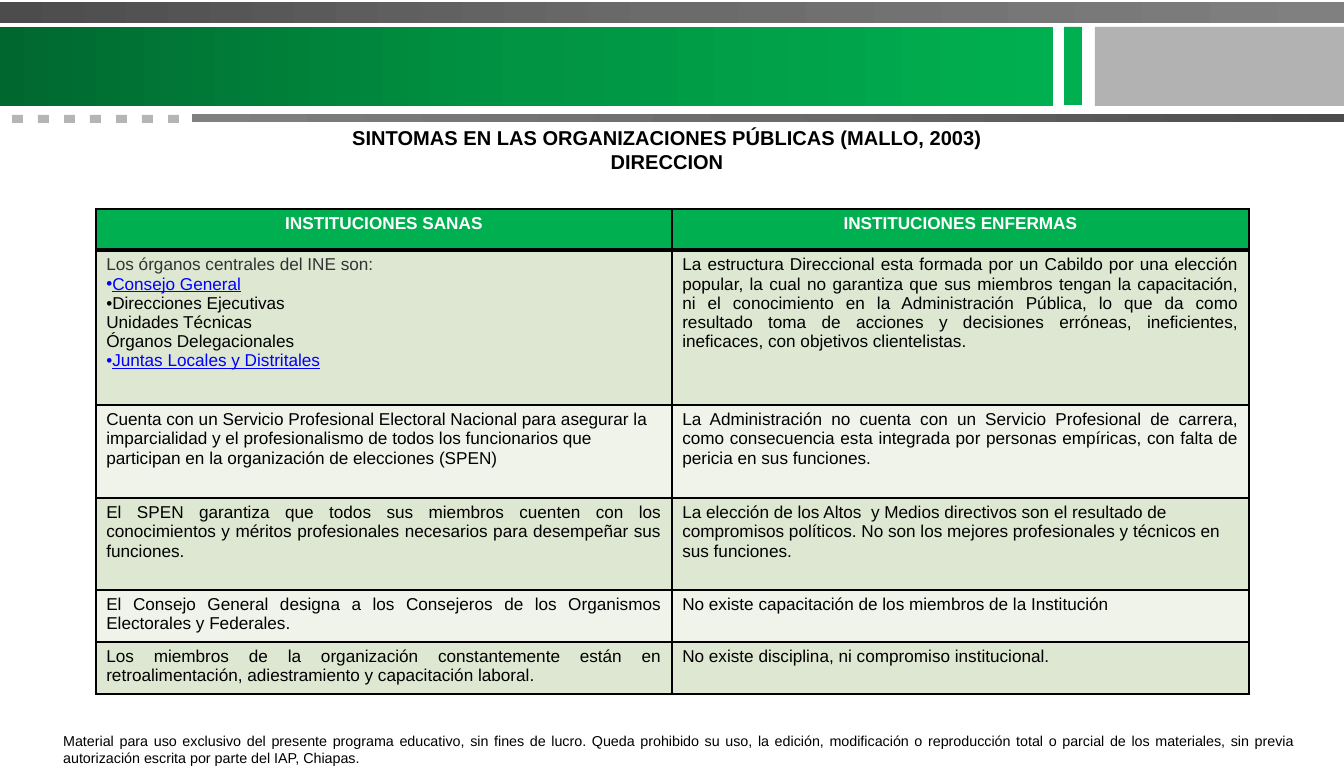
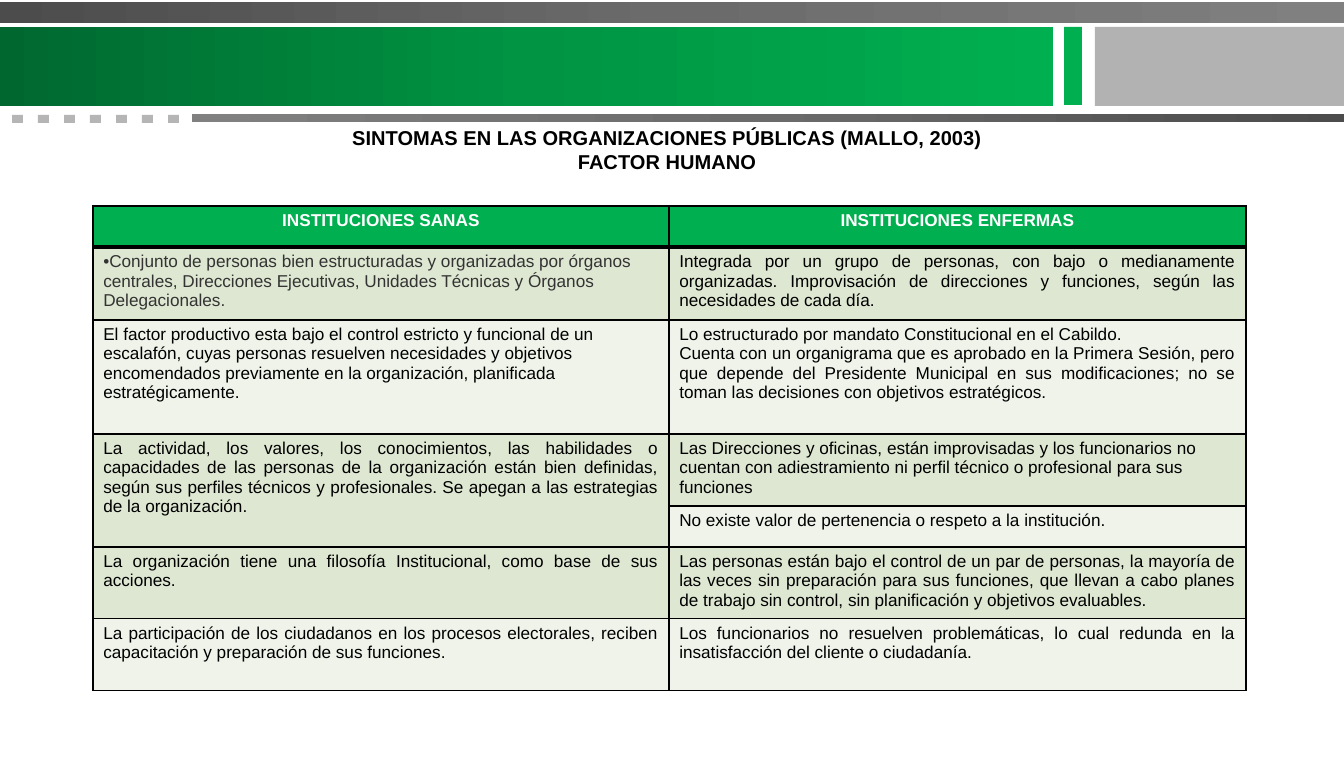
from dataclasses import dataclass
from copy import deepcopy

from lxml import etree
from pptx import Presentation
from pptx.dml.color import RGBColor
from pptx.enum.shapes import MSO_SHAPE
from pptx.enum.text import MSO_ANCHOR, MSO_AUTO_SIZE, PP_ALIGN
from pptx.oxml.ns import qn
from pptx.util import Emu, Pt

RECTANGLE = MSO_SHAPE.RECTANGLE
LEFT, CENTER, JUSTIFY = PP_ALIGN.LEFT, PP_ALIGN.CENTER, PP_ALIGN.JUSTIFY
TOP = MSO_ANCHOR.TOP
NO_AUTOFIT = MSO_AUTO_SIZE.NONE

EMU_PER_PX = 914400 / 103.1
SLIDE_WIDTH, SLIDE_HEIGHT = 1344, 773
TITLE_ONLY = 5


@dataclass(frozen=True)
class Theme:
    font: str = "Arial"
    title_size: int = 14
    table_size: int = 12
    footer_size: int = 10
    black: str = "000000"
    white: str = "FFFFFF"
    dark_gray: str = "333333"
    link: str = "0000FF"
    green: str = "00B050"
    gray: str = "B2B2B2"
    dash: str = "B5B5B5"
    green_fade: tuple = ("00682F", "009443", "00B050")
    gray_fade: tuple = ("4C4C4C", "6B6B6B", "808080")
    row_bands: tuple = ("DEE7D1", "EFF3EA")
    thin: int = 1
    thick: int = 3


THEME = Theme()


@dataclass(frozen=True)
class Line:
    """One paragraph of text with its format."""
    text: str
    align: PP_ALIGN = LEFT
    color: str = THEME.black
    bullet: bool = False
    underline: bool = False
    bold: bool = False


def justified(text):
    return Line(text, JUSTIFY)


def heading(text, color=THEME.black):
    return Line(text, CENTER, color, bold=True)


def link(text):
    return Line(text, color=THEME.link, bullet=True, underline=True)


HEADER = ([heading("INSTITUCIONES SANAS", THEME.white)],
          [heading("INSTITUCIONES ENFERMAS", THEME.white)])

DIRECTION_ROWS = [
    HEADER,
    ([Line("Los órganos centrales del INE son:", color=THEME.dark_gray),
      link("Consejo General"),
      Line("Direcciones Ejecutivas", bullet=True),
      Line("Unidades Técnicas"),
      Line("Órganos Delegacionales"),
      link("Juntas Locales y Distritales")],
     [justified("La estructura Direccional esta formada por un Cabildo por una elección popular, "
                "la cual no garantiza que sus miembros tengan la capacitación, ni el conocimiento "
                "en la Administración Pública, lo que da como resultado toma de acciones y "
                "decisiones erróneas, ineficientes, ineficaces, con objetivos clientelistas.")]),
    ([Line("Cuenta con un Servicio Profesional Electoral Nacional para asegurar la imparcialidad "
           "y el profesionalismo de todos los funcionarios que participan en la organización de "
           "elecciones (SPEN)")],
     [justified("La Administración no cuenta con un Servicio Profesional de carrera, como "
                "consecuencia esta integrada por personas empíricas, con falta de pericia en "
                "sus funciones.")]),
    ([justified("El SPEN garantiza que todos sus miembros cuenten con los conocimientos y "
                "méritos profesionales necesarios para desempeñar sus funciones.")],
     [Line("La elección de los Altos  y Medios directivos son el resultado de compromisos "
           "políticos. No son los mejores profesionales y técnicos en sus funciones.")]),
    ([justified("El Consejo General designa a los Consejeros de los Organismos Electorales y "
                "Federales.")],
     [justified("No existe capacitación de los miembros de la Institución")]),
    ([justified("Los miembros de la organización constantemente están en retroalimentación, "
                "adiestramiento y capacitación laboral.")],
     [justified("No existe disciplina, ni compromiso institucional.")]),
]

# None marks a cell that is merged into the one above it
HUMAN_FACTOR_ROWS = [
    HEADER,
    ([Line("Conjunto de personas bien estructuradas y organizadas por órganos centrales, "
           "Direcciones Ejecutivas, Unidades Técnicas y Órganos Delegacionales.",
           color=THEME.dark_gray, bullet=True)],
     [justified("Integrada por un grupo de personas, con bajo o medianamente organizadas. "
                "Improvisación de direcciones y funciones, según las necesidades de cada día.")]),
    ([Line("El factor productivo esta bajo el control estricto y funcional de un escalafón, "
           "cuyas personas resuelven necesidades y objetivos encomendados previamente en la "
           "organización, planificada estratégicamente.")],
     [justified("Lo estructurado por mandato Constitucional en el Cabildo."),
      justified("Cuenta con un organigrama que es aprobado en la Primera Sesión, pero que "
                "depende del Presidente Municipal en sus modificaciones; no se toman las "
                "decisiones con objetivos estratégicos.")]),
    ([justified("La actividad, los valores, los conocimientos, las habilidades o capacidades de "
                "las personas de la organización están bien definidas, según sus perfiles "
                "técnicos y profesionales. Se apegan a las estrategias de la organización.")],
     [Line("Las Direcciones y oficinas, están improvisadas y los funcionarios no cuentan con "
           "adiestramiento ni perfil técnico o profesional para sus funciones")]),
    (None,
     [Line("No existe valor de pertenencia o respeto a la institución.")]),
    ([justified("La organización tiene una filosofía Institucional, como base de sus acciones.")],
     [justified("Las personas están bajo el control de un par de personas, la mayoría de las "
                "veces sin preparación para sus funciones, que llevan a cabo planes de trabajo "
                "sin control, sin planificación y objetivos evaluables.")]),
    ([justified("La participación de los ciudadanos en los procesos electorales, reciben "
                "capacitación y preparación de sus funciones.")],
     [justified("Los funcionarios no resuelven problemáticas, lo cual redunda en la "
                "insatisfacción del cliente o ciudadanía.")]),
]

USE_NOTICE = ("Material para uso exclusivo del presente programa educativo, sin fines de lucro. "
              "Queda prohibido su uso, la edición, modificación o reproducción total o parcial de "
              "los materiales, sin previa autorización escrita por parte del IAP, Chiapas.")


def px(length):
    return Emu(round(length * EMU_PER_PX))


def rgb(color):
    return RGBColor.from_string(color)


# Text
def add_bullet(paragraph):
    properties = paragraph._p.get_or_add_pPr()
    properties.set("marL", "0")
    properties.set("indent", "0")
    etree.SubElement(properties, qn("a:buFont"), typeface=THEME.font)
    etree.SubElement(properties, qn("a:buChar"), char="•")


def write_lines(text_frame, lines, size):
    text_frame.word_wrap = True
    for index, line in enumerate(lines):
        paragraph = text_frame.add_paragraph() if index else text_frame.paragraphs[0]
        paragraph.alignment = line.align
        if line.bullet:
            add_bullet(paragraph)
        run = paragraph.add_run()
        run.text = line.text
        font = run.font
        font.name, font.size = THEME.font, Pt(size)
        font.bold, font.underline = line.bold, line.underline
        font.color.rgb = rgb(line.color)


def add_title(slide, topic):
    title = slide.shapes.title
    title.left, title.top, title.width, title.height = px(110), px(120), px(1114), px(59)
    title.text_frame.vertical_anchor = TOP
    title.text_frame.auto_size = NO_AUTOFIT
    write_lines(title.text_frame,
                [heading("SINTOMAS EN LAS ORGANIZACIONES PÚBLICAS (MALLO, 2003)"),
                 heading(topic)], THEME.title_size)


def add_use_notice(slide):
    box = slide.shapes.add_textbox(px(53), px(727), px(1250), px(45))
    write_lines(box.text_frame, [justified(USE_NOTICE)], THEME.footer_size)


# Bands shared through the layout
def add_band(slide, left, top, width, height, color):
    shape = slide.shapes.add_shape(RECTANGLE, px(left), px(top), px(width), px(height))
    shape.shadow.inherit = False
    shape.line.fill.background()
    shape.fill.solid()
    shape.fill.fore_color.rgb = rgb(color)
    return shape


def add_faded_band(slide, left, top, width, height, colors, angle=0):
    shape = add_band(slide, left, top, width, height, colors[0])
    shape.fill.gradient()
    shape.fill.gradient_angle = angle
    stop_list = shape.element.spPr.find(".//" + qn("a:gsLst"))
    stop_list.insert(1, deepcopy(stop_list[0]))
    for stop, color, position in zip(shape.fill.gradient_stops, colors, (0, 0.5, 1)):
        stop.color.rgb = rgb(color)
        stop.position = position
    return shape


def decorate_layout(layout, slide):
    """Draw the bands on a slide, then hand them over to its layout."""
    for placeholder in list(layout.placeholders)[1:]:
        layout.shapes.element.remove(placeholder.element)
    bands = [
        add_faded_band(slide, 0, 27, 1053, 79, THEME.green_fade),
        add_band(slide, 1064, 27, 18, 78, THEME.green),
        add_band(slide, 1095, 27, 249, 79, THEME.gray),
        add_faded_band(slide, 192, 114, 1152, 8, THEME.gray_fade, angle=180),
        add_faded_band(slide, 0, 2, SLIDE_WIDTH, 21, THEME.gray_fade),
    ]
    bands += [add_band(slide, 12 + 26 * index, 115, 11, 8, THEME.dash) for index in range(7)]
    for band in bands:
        layout.shapes.element.append(band.element)


# Tables
def set_borders(cell, top, bottom):
    properties = cell._tc.get_or_add_tcPr()
    widths = {"L": THEME.thin, "R": THEME.thin, "T": top, "B": bottom}
    for side, width in widths.items():
        border = etree.SubElement(properties, qn("a:ln" + side), w=str(Pt(width)))
        fill = etree.SubElement(border, qn("a:solidFill"))
        etree.SubElement(fill, qn("a:srgbClr"), val=THEME.black)


def add_comparison(slide, left, top, row_heights, rows):
    widths = (576, 577)
    frame = slide.shapes.add_table(len(rows), len(widths), px(left), px(top),
                                   px(sum(widths)), px(sum(row_heights)))
    table = frame.table
    table.horz_banding = False
    for column, width in zip(table.columns, widths):
        column.width = px(width)
    for row_index, (height, row) in enumerate(zip(row_heights, rows)):
        table.rows[row_index].height = px(height)
        color = THEME.row_bands[(row_index - 1) % 2] if row_index else THEME.green
        for column_index, lines in enumerate(row):
            cell = table.cell(row_index, column_index)
            set_borders(cell,
                        top=THEME.thick if row_index == 1 else THEME.thin,
                        bottom=THEME.thick if row_index == 0 else THEME.thin)
            cell.fill.solid()
            cell.fill.fore_color.rgb = rgb(color)
            if lines is None:
                table.cell(row_index - 1, column_index).merge(cell)
            else:
                write_lines(cell.text_frame, lines, THEME.table_size)


def main():
    presentation = Presentation()
    presentation.slide_width, presentation.slide_height = px(SLIDE_WIDTH), px(SLIDE_HEIGHT)
    layout = presentation.slide_layouts[TITLE_ONLY]

    # Direction
    slide = presentation.slides.add_slide(layout)
    decorate_layout(layout, slide)
    add_title(slide, "DIRECCION")
    add_comparison(slide, 96, 209, (41, 155, 93, 92, 52, 52), DIRECTION_ROWS)
    add_use_notice(slide)

    # Human factor
    slide = presentation.slides.add_slide(layout)
    add_title(slide, "FACTOR HUMANO")
    add_comparison(slide, 93, 206, (41, 73, 114, 72, 41, 72, 72), HUMAN_FACTOR_ROWS)

    presentation.save("out.pptx")


if __name__ == "__main__":
    main()
